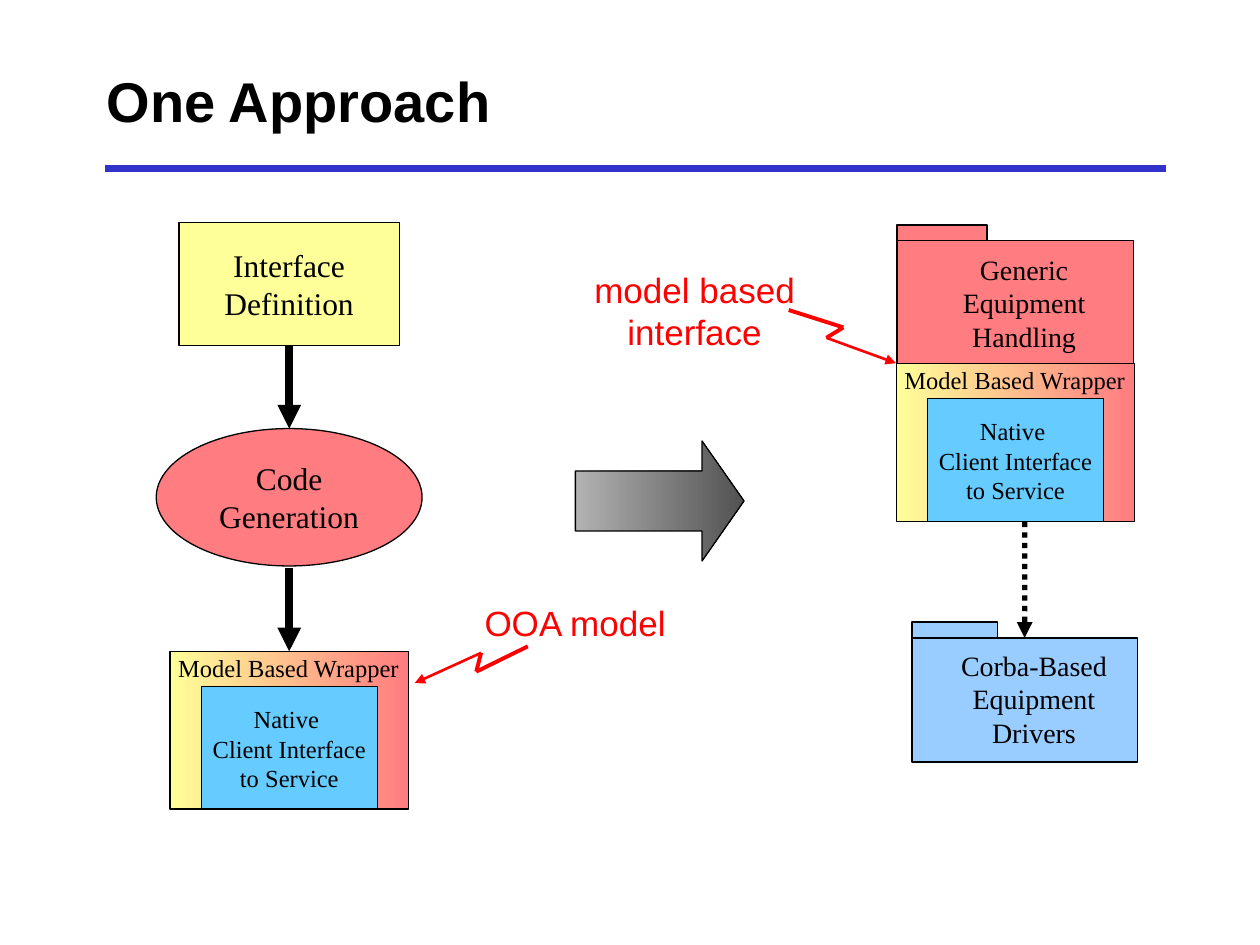
"""Build the "One Approach" slide on generating a model based wrapper."""
from lxml import etree
from pptx import Presentation
from pptx import util as u
from pptx.dml.color import RGBColor
from pptx.enum import dml, shapes, text
from pptx.oxml import ns

BLACK = RGBColor(0x00, 0x00, 0x00)
BLUE = RGBColor(0x33, 0x33, 0xCC)
RED = RGBColor(0xFF, 0x00, 0x00)
CORAL = RGBColor(0xFF, 0x7C, 0x80)
YELLOW = RGBColor(0xFF, 0xFF, 0x99)
SKY = RGBColor(0x66, 0xCC, 0xFF)
PALE_BLUE = RGBColor(0x99, 0xCC, 0xFF)
LIGHT_GREY = RGBColor(0xB2, 0xB2, 0xB2)
DARK_GREY = RGBColor(0x52, 0x52, 0x52)
RECTANGLE = shapes.MSO_SHAPE.RECTANGLE
MIDDLE = text.MSO_ANCHOR.MIDDLE
CENTER = text.PP_ALIGN.CENTER
LEFT = text.PP_ALIGN.LEFT


def write_text(shape, content, size=18, font="Times New Roman", color=BLACK, bold=False,
               align=CENTER, anchor=text.MSO_ANCHOR.TOP, wrap=False):
    frame = shape.text_frame
    frame.text = content
    frame.word_wrap = wrap
    frame.vertical_anchor = anchor
    for paragraph in frame.paragraphs:
        paragraph.alignment = align
        paragraph.font.size = u.Pt(size)
        paragraph.font.name = font
        paragraph.font.bold = bold
        paragraph.font.color.rgb = color


def add_line(start, end, color, width, arrow=False):
    line = slide.shapes.add_connector(
        shapes.MSO_CONNECTOR.STRAIGHT, *[u.Cm(value) for value in (*start, *end)])
    line.line.color.rgb = color
    line.line.width = u.Pt(width)
    if arrow:
        etree.SubElement(line.line._get_or_add_ln(), ns.qn("a:tailEnd"), type="triangle")
    etree.SubElement(line._element.spPr, ns.qn("a:effectLst"))
    return line


presentation = Presentation()
presentation.slide_width = u.Cm(25.4)
presentation.slide_height = u.Cm(19.05)
slide = presentation.slides.add_slide(presentation.slide_layouts[6])

add_line((2.11, 3.39), (23.5, 3.39), BLUE, 4)

box_specs = [
    ("generation", shapes.MSO_SHAPE.OVAL, (3.15, 8.64, 5.36, 2.77), [CORAL], 0.75),
    ("definition", RECTANGLE, (3.61, 4.49, 4.44, 2.48), [YELLOW], 0.75),
    ("arrow", shapes.MSO_SHAPE.RIGHT_ARROW, (11.6, 8.89, 3.4, 2.42),
     [LIGHT_GREY, DARK_GREY], 0.75),
]
label_specs = []
for name, left, top, width, tab_width, color, content, label in (
        ("drivers", 18.38, 12.86, 4.55, 1.73, PALE_BLUE,
         "Corba-Based\nEquipment\nDrivers", (18.82, 12.94, 4.05, 2.29)),
        ("handling", 18.08, 4.85, 4.77, 1.82, CORAL,
         "Generic\nEquipment\nHandling", (18.87, 4.96, 3.55, 2.29))):
    box_specs += [
        (name, RECTANGLE, (left, top, width, 2.5), [color], 1),
        (name + " tab", RECTANGLE, (left, top - 0.32, tab_width, 0.32), [color], 1),
    ]
    label_specs.append((label, content, dict(size=16)))

for name, left, top in (("wrapper", 3.43, 13.13), ("client wrapper", 18.07, 7.33)):
    box_specs += [
        (name, RECTANGLE, (left, top, 4.8, 3.18), [YELLOW, CORAL], 0.75),
        (name + " native", RECTANGLE, (left + 0.63, top + 0.71, 3.55, 2.47), [SKY], 0.75),
    ]
    label_specs += [
        ((left - 0.09, top - 0.09, 4.98, 0.86), "Model Based Wrapper",
         dict(size=14, align=LEFT)),
        ((left + 0.6, top + 0.94, 3.61, 2.03), "Native \nClient Interface\nto Service",
         dict(size=14)),
    ]

boxes = {}
for name, kind, place, colors, line_width in box_specs:
    shape = slide.shapes.add_shape(kind, *[u.Cm(value) for value in place])
    shape.shadow.inherit = False
    shape.line.color.rgb = BLACK
    shape.line.width = u.Pt(line_width)
    if len(colors) == 1:
        shape.fill.solid()
        shape.fill.fore_color.rgb = colors[0]
    else:
        shape.fill.gradient()
        shape.fill.gradient_angle = 0
        for stop, color in zip(shape.fill.gradient_stops, colors):
            stop.color.rgb = color
    boxes[name] = shape
boxes["arrow"].adjustments[0] = 0.5
boxes["arrow"].adjustments[1] = 0.35
write_text(boxes["definition"], "Interface\nDefinition", anchor=MIDDLE)
write_text(boxes["generation"], "Code\nGeneration", anchor=MIDDLE)

callout = dict(size=20, font="Arial", color=RED)
label_specs += [
    ((1.9, 0.84, 21.59, 2.34), "One Approach",
     dict(size=32, font="Arial", bold=True, align=LEFT, anchor=MIDDLE, wrap=True)),
    ((11.73, 5.28, 4.55, 1.96), "model based\ninterface", callout),
    ((9.5, 12, 4.19, 1.12), "OOA model", callout),
]
for place, content, style in label_specs:
    label = slide.shapes.add_textbox(*[u.Cm(value) for value in place])
    write_text(label, content, **style)

generate = add_line((5.83, 6.97), (5.83, 8.64), BLACK, 4.5, arrow=True)
generate.begin_connect(boxes["definition"], 2)
generate.end_connect(boxes["generation"], 0)
produce = add_line((5.83, 11.46), (5.83, 13.13), BLACK, 4.5, arrow=True)
produce.end_connect(boxes["wrapper"], 0)
call = add_line((20.66, 10.52), (20.66, 12.86), BLACK, 3, arrow=True)
call.line.dash_style = dml.MSO_LINE.ROUND_DOT
call.end_connect(boxes["drivers"], 0)

for start, bend, turn, tip in (
        ((15.9, 6.25), (17, 6.6), (16.66, 6.81), (18.06, 7.32)),
        ((10.64, 13.03), (9.6, 13.54), (9.7, 13.16), (8.36, 13.77))):
    add_line(start, bend, RED, 2.25)
    add_line(bend, turn, RED, 2.25)
    add_line(turn, tip, RED, 1.5, arrow=True)

presentation.save("out.pptx")
